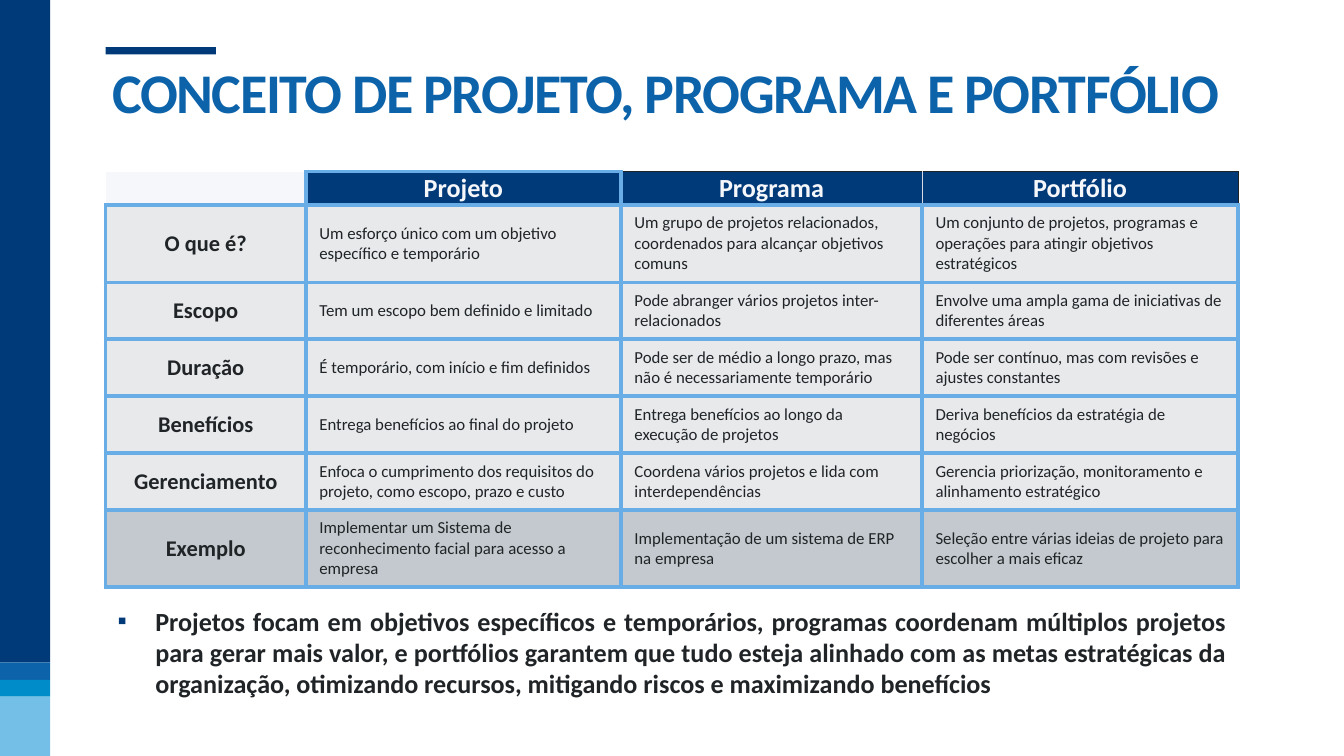
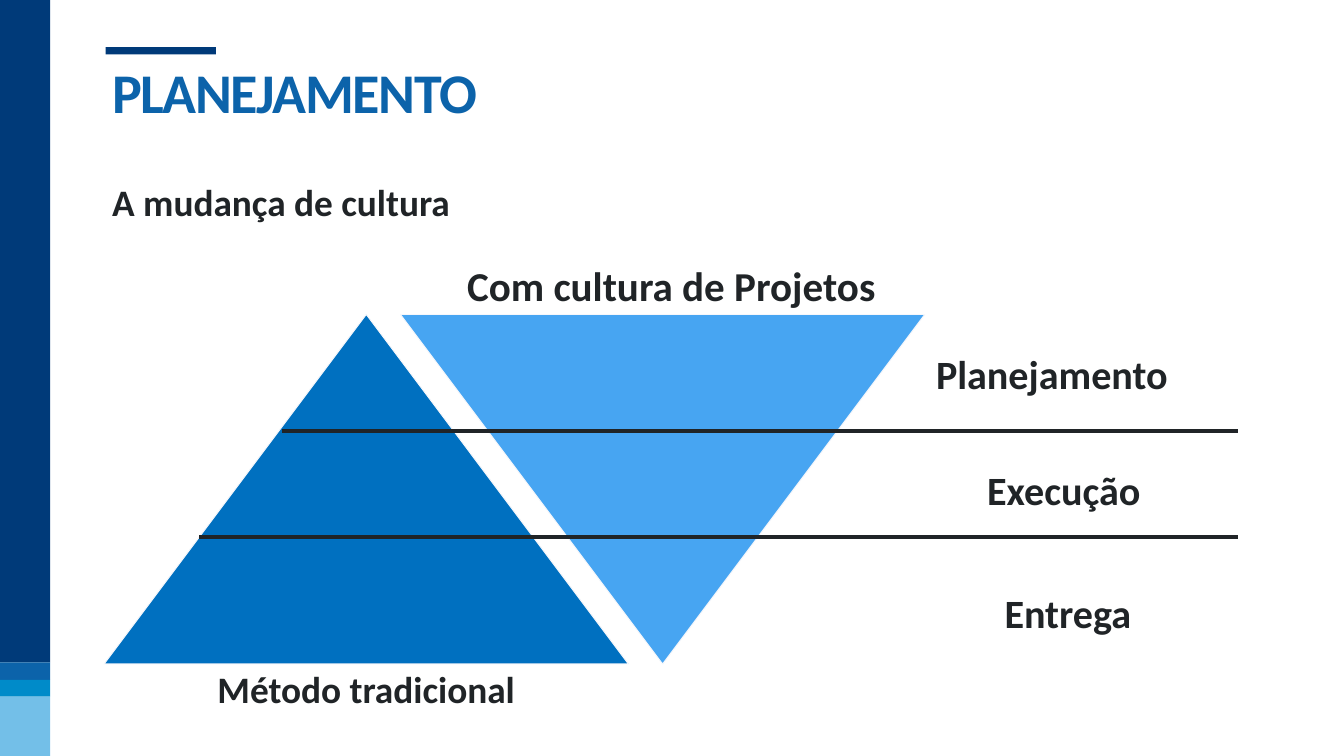
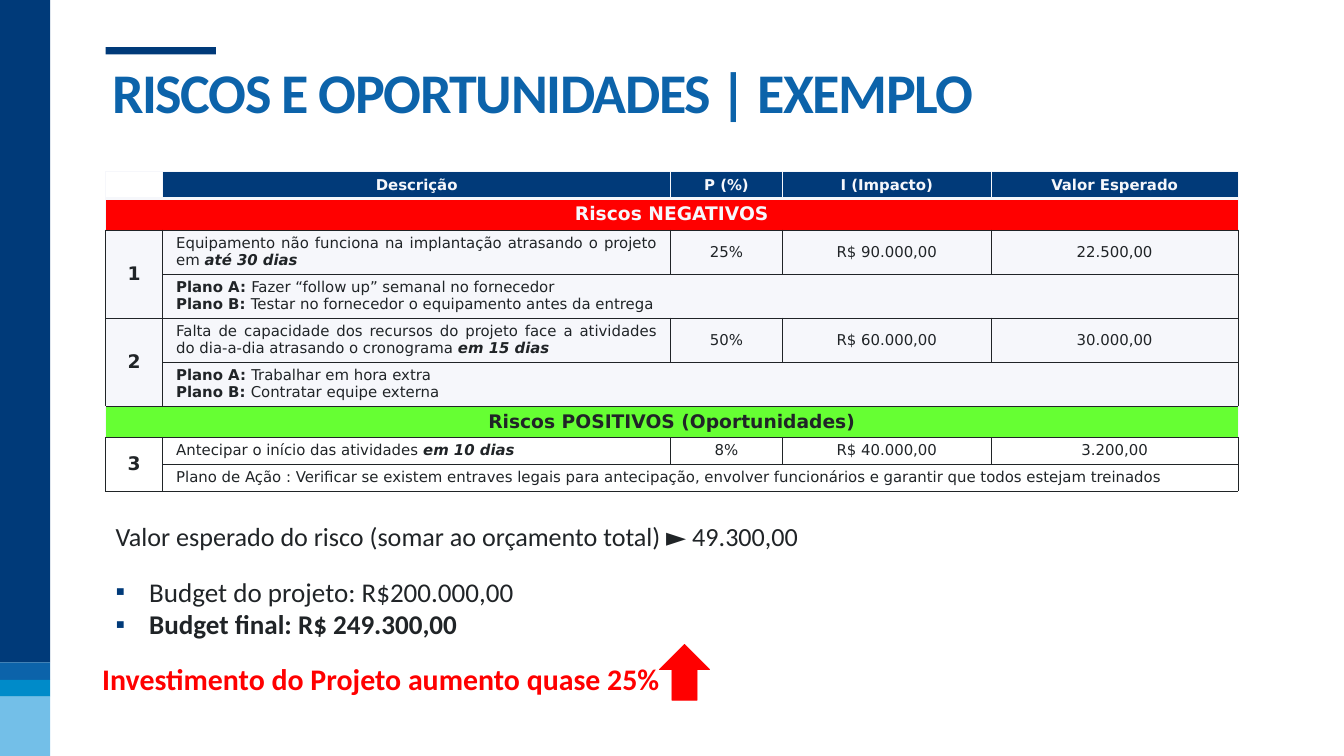
from dataclasses import dataclass
from typing import Any, NamedTuple, Optional

from lxml import etree
from pptx import Presentation
from pptx import util as u
from pptx.dml.color import RGBColor
from pptx.enum import shapes, text
from pptx.oxml import ns

Cm, Pt = u.Cm, u.Pt
CENTER, LEFT, JUSTIFY = text.PP_ALIGN.CENTER, text.PP_ALIGN.LEFT, text.PP_ALIGN.JUSTIFY
TOP, MIDDLE, BOTTOM = text.MSO_ANCHOR.TOP, text.MSO_ANCHOR.MIDDLE, text.MSO_ANCHOR.BOTTOM

COLORS = {
    "navy": "003A79", "header": "013A79", "blue": "0C63AA", "cyan": "008BC9", "sky": "73BFE8",
    "ink": "202427", "pale": "F6F7FB", "grid": "69ADE7", "hairline": "D9D9E3",
    "row": "E7E9EB", "last row": "C3C9CE", "culture": "47A5F2", "traditional": "0070C0",
    "red": "FF0000", "green": "66FF33",
}
FONT = "Calibri"
TABLE_FONT = "DejaVu Sans"
CONTENT_LEFT, CONTENT_TOP, CONTENT_WIDTH = 3.99, 6.48, 42.8
CONTENT_RIGHT = CONTENT_LEFT + CONTENT_WIDTH

Edges = dict[str, tuple[str, float]]


class Area(NamedTuple):
    """Left, top, width and height in centimetres."""
    left: float
    top: float
    width: float
    height: float

    def lengths(self) -> list[u.Length]:
        return [Cm(value) for value in self]


class Insets(NamedTuple):
    across: float = 0.25
    above: float = 0.13
    below: float = 0.13


class Span(NamedTuple):
    text: str
    bold: bool = False
    italic: bool = False


@dataclass
class Style:
    size: float
    color: str = "ink"
    font: str = FONT
    align: Any = LEFT
    anchor: Any = TOP
    insets: Insets = Insets()
    wrap: bool = True
    bullet: Optional[str] = None
    indent: float = 0
    line_spacing: float = 1
    space_after: float = 0


@dataclass
class Cell:
    paras: list[list[Span]]
    style: Style
    fill: Optional[str] = None


@dataclass
class Risk:
    number: str
    description: str
    deadline: str
    figures: list[str]
    plans: list[list[Span]]
    fill: Optional[str] = "pale"


def rgb(name: str) -> RGBColor:
    return RGBColor.from_string(COLORS[name])


def add_color(parent: Any, name: str) -> None:
    etree.SubElement(parent, ns.qn("a:srgbClr"), val=COLORS[name])


def set_bullet(para: Any, style: Style) -> None:
    properties = para._p.get_or_add_pPr()
    properties.set("marL", str(Cm(style.indent)))
    properties.set("indent", str(-Cm(style.indent)))
    if style.bullet is None:
        etree.SubElement(properties, ns.qn("a:buNone"))
        return
    add_color(etree.SubElement(properties, ns.qn("a:buClr")), style.bullet)
    etree.SubElement(properties, ns.qn("a:buChar"), char="▪")


def write_paras(frame: Any, paras: list[list[Span]], style: Style) -> None:
    for index, spans in enumerate(paras):
        para = frame.add_paragraph() if index else frame.paragraphs[0]
        set_bullet(para, style)
        para.alignment = style.align
        para.line_spacing = style.line_spacing
        para.space_before = Pt(0)
        para.space_after = Pt(style.space_after)
        for part in spans:
            span = para.add_run()
            span.text = part.text
            span.font.name = style.font
            span.font.size = Pt(style.size)
            span.font.bold = part.bold
            span.font.italic = part.italic
            span.font.color.rgb = rgb(style.color)


def set_margins(holder: Any, insets: Insets) -> None:
    holder.margin_left = holder.margin_right = Cm(insets.across)
    holder.margin_top, holder.margin_bottom = Cm(insets.above), Cm(insets.below)


def fill_box(box: Any, area: Area, paras: list[list[Span]], style: Style) -> None:
    """Move a placeholder or text box to its area and write its text."""
    box.left, box.top, box.width, box.height = area.lengths()
    frame = box.text_frame
    frame.auto_size = text.MSO_AUTO_SIZE.NONE
    frame.word_wrap = style.wrap
    frame.vertical_anchor = style.anchor
    set_margins(frame, style.insets)
    write_paras(frame, paras, style)


def add_label(page: Any, area: Area, label: Span, style: Style) -> None:
    fill_box(page.shapes.add_textbox(*area.lengths()), area, [[label]], style)


def add_block(page: Any, kind: Any, area: Area, fill: str,
              line: Optional[str] = None, width: float = 1) -> Any:
    block = page.shapes.add_shape(kind, *area.lengths())
    block.shadow.inherit = False
    block.fill.solid()
    block.fill.fore_color.rgb = rgb(fill)
    if line is None:
        block.line.fill.background()
    else:
        block.line.color.rgb = rgb(line)
        block.line.width = Pt(width)
    return block


def add_divider(page: Any, left: float, top: float) -> None:
    line = page.shapes.add_connector(
        shapes.MSO_CONNECTOR.STRAIGHT, Cm(left), Cm(top), Cm(CONTENT_RIGHT), Cm(top))
    line.line.color.rgb = rgb("ink")
    line.line.width = Pt(4.5)
    etree.SubElement(line.element.spPr, ns.qn("a:effectLst"))


def add_page(deck: Any, title: str) -> Any:
    page = deck.slides.add_slide(deck.slide_layouts[1])
    style = Style(60, "blue", anchor=BOTTOM, insets=Insets(0.25, 1, 0.13))
    fill_box(page.shapes.title, Area(CONTENT_LEFT, 2.06, CONTENT_WIDTH, 2.77),
             [[Span(title, bold=True)]], style)
    page.shapes.title.text_frame.paragraphs[0].runs[0]._r.get_or_add_rPr().set("spc", "-150")
    return page


def decorate_master(deck: Any, page: Any) -> None:
    """Draw the side bands and title accent, then hand them to the master."""
    edges = [0, 25.04, 25.7, 26.34, 28.58]
    blocks = [(Area(-0.03, top, 1.93, bottom - top), fill) for top, bottom, fill
              in zip(edges, edges[1:], ["navy", "blue", "cyan", "sky"])]
    blocks.append((Area(CONTENT_LEFT, 1.78, 4.17, 0.28), "navy"))
    tree = deck.slide_master.shapes.element
    for index, (area, fill) in enumerate(blocks):
        element = add_block(page, shapes.MSO_SHAPE.RECTANGLE, area, fill).element
        element.xpath(".//p:cNvPr")[0].set("id", str(100 + index))
        tree.insert(2 + index, element)


def add_grid(page: Any, columns: list[float], rows: list[float]) -> Any:
    area = Area(CONTENT_LEFT, CONTENT_TOP, CONTENT_WIDTH, sum(rows))
    grid = page.shapes.add_table(len(rows), len(columns), *area.lengths()).table
    grid.first_row = grid.horz_banding = False
    for column, width in zip(grid.columns, columns):
        column.width = Cm(width)
    for row, height in zip(grid.rows, rows):
        row.height = Cm(height)
    return grid


def all_edges(color: str, width: float) -> Edges:
    return {side: (color, width) for side in "LRTB"}


def set_edges(target: Any, edges: Edges) -> None:
    properties = target._tc.get_or_add_tcPr()
    for side in "LRTB":
        if side in edges:
            color, width = edges[side]
            line = etree.SubElement(properties, ns.qn(f"a:ln{side}"), w=str(Pt(width)))
            add_color(etree.SubElement(line, ns.qn("a:solidFill")), color)


def put_cell(grid: Any, row: int, column: int, cell: Cell, edges: Edges,
             rows: int = 1, columns: int = 1) -> None:
    """Fill one cell, merged over the given rows and columns."""
    target = grid.cell(row, column)
    for r in range(row, row + rows):
        for c in range(column, column + columns):
            set_edges(grid.cell(r, c), edges)
    if rows * columns > 1:
        target.merge(grid.cell(row + rows - 1, column + columns - 1))
    if cell.fill:
        target.fill.solid()
        target.fill.fore_color.rgb = rgb(cell.fill)
    else:
        target.fill.background()
    if cell.paras:
        set_margins(target, cell.style.insets)
        target.vertical_anchor = cell.style.anchor
        write_paras(target.text_frame, cell.paras, cell.style)


def build_concepts(page: Any) -> None:
    columns = ["Projeto", "Programa", "Portfólio"]
    concepts = [
        ("O que é?", "Um esforço único com um objetivo específico e temporário",
         "Um grupo de projetos relacionados, coordenados para alcançar objetivos comuns",
         "Um conjunto de projetos, programas e operações para atingir objetivos estratégicos"),
        ("Escopo", "Tem um escopo bem definido e limitado",
         "Pode abranger vários projetos inter-relacionados",
         "Envolve uma ampla gama de iniciativas de diferentes áreas"),
        ("Duração", "É temporário, com início e fim definidos",
         "Pode ser de médio a longo prazo, mas não é necessariamente temporário",
         "Pode ser contínuo, mas com revisões e ajustes constantes"),
        ("Benefícios", "Entrega benefícios ao final do projeto",
         "Entrega benefícios ao longo da execução de projetos",
         "Deriva benefícios da estratégia de negócios"),
        ("Gerenciamento",
         "Enfoca o cumprimento dos requisitos do projeto, como escopo, prazo e custo",
         "Coordena vários projetos e lida com interdependências",
         "Gerencia priorização, monitoramento e alinhamento estratégico"),
        ("Exemplo", "Implementar um Sistema de reconhecimento facial para acesso a empresa",
         "Implementação de um sistema de ERP na empresa",
         "Seleção entre várias ideias de projeto para escolher a mais eficaz"),
    ]
    grid = add_grid(page, [7.57, 11.91, 11.38, 11.94], [1.24, 2.51] + [1.85] * 4 + [2.51])
    blue, dark, hairline = ("grid", 4.5), ("ink", 1), ("hairline", 0.6)
    header_edges = [
        all_edges(*blue),
        {"L": blue, "R": hairline, "T": dark, "B": blue},
        {"L": hairline, "R": dark, "T": dark, "B": blue},
    ]
    header = Style(28, "pale", align=CENTER, anchor=MIDDLE, insets=Insets(0.05, 0.03, 0.03))
    insets = Insets(0.51, 0.3, 0.3)
    topic = Style(24, align=CENTER, anchor=MIDDLE, insets=insets)
    detail = Style(18, anchor=MIDDLE, insets=insets)

    put_cell(grid, 0, 0, Cell([], header, "pale"), {"R": blue, "B": blue})
    for column, (name, edges) in enumerate(zip(columns, header_edges), start=1):
        put_cell(grid, 0, column, Cell([[Span(name, True)]], header, "header"), edges)
    for row, concept in enumerate(concepts, start=1):
        fill = "last row" if row == len(concepts) else "row"
        for column, words in enumerate(concept):
            cell = Cell([[Span(words, column == 0)]], detail if column else topic, fill)
            put_cell(grid, row, column, cell, all_edges(*blue))

    summary = ("Projetos focam em objetivos específicos e temporários, programas coordenam "
               "múltiplos projetos para gerar mais valor, e portfólios garantem que tudo esteja "
               "alinhado com as metas estratégicas da organização, otimizando recursos, "
               "mitigando riscos e maximizando benefícios")
    fill_box(page.placeholders[1], Area(CONTENT_LEFT, 22.63, CONTENT_WIDTH, 4.04),
             [[Span(summary, True)]],
             Style(28, align=JUSTIFY, anchor=MIDDLE, insets=Insets(0.46, 0.23, 0.23),
                   bullet="header", indent=1.42))


def build_planning(page: Any) -> None:
    fill_box(page.placeholders[1], Area(CONTENT_LEFT, CONTENT_TOP, CONTENT_WIDTH, 20.19),
             [[Span("A mudança de cultura", True)]],
             Style(40, line_spacing=1.1, space_after=9))
    for left, fill, rotation in [(15.14, "culture", 180), (3.94, "traditional", 0)]:
        triangle = add_block(page, shapes.MSO_SHAPE.TRAPEZOID,
                             Area(left, 11.89, 19.81, 13.21), fill, "pale")
        triangle.adjustments[0] = 0.75
        triangle.rotation = rotation
    add_divider(page, 10.67, 16.28)
    add_divider(page, 7.54, 20.29)

    phase = Style(43, wrap=False)
    for name, area in [("Planejamento", Area(35.13, 13.08, 9.37, 2.08)),
                       ("Execução", Area(37.06, 17.48, 6.38, 2.08)),
                       ("Entrega", Area(37.72, 22.1, 5.36, 2.08))]:
        add_label(page, area, Span(name, True), phase)
    add_label(page, Area(4.14, 25.07, 19.41, 1.96), Span("Método tradicional", True),
              Style(40, align=CENTER))
    add_label(page, Area(12.67, 9.7, 25.43, 2.13), Span("Com cultura de Projetos", True),
              Style(44, align=CENTER))


def build_risks(page: Any) -> None:
    negative = [
        Risk("1", "Equipamento não funciona na implantação atrasando o projeto em ",
             "até 30 dias", ["25%", "R$ 90.000,00", "22.500,00"],
             [[Span("Plano A: ", True), Span("Fazer “follow up” semanal no fornecedor")],
              [Span("Plano B: ", True),
               Span("Testar no fornecedor o equipamento antes da entrega")]]),
        Risk("2", "Falta de capacidade dos recursos do projeto face a atividades do dia-a-dia "
             "atrasando o cronograma ", "em 15 dias", ["50%", "R$ 60.000,00", "30.000,00"],
             [[Span("Plano A: ", True), Span("Trabalhar em hora extra")],
              [Span("Plano B: ", True), Span("Contratar equipe externa")]]),
    ]
    positive = [
        Risk("3", "Antecipar o início das atividades ", "em 10 dias",
             ["8%", "R$ 40.000,00", "3.200,00"],
             [[Span("Plano de Ação : Verificar se existem entraves legais para antecipação, "
                    "envolver funcionários e garantir que todos estejam treinados")]], None),
    ]
    grid = add_grid(page, [2.16, 19.2, 4.22, 7.9, 9.32],
                    [0.76, 0.86] + [1.24] * 4 + [0.86, 0.81, 0.79])
    insets = Insets(0.51, 0.18, 0.18)
    header = Style(16, "pale", TABLE_FONT, CENTER, MIDDLE, insets)
    figure = Style(16, "ink", TABLE_FONT, CENTER, MIDDLE, insets)
    heading = Style(20, "ink", TABLE_FONT, CENTER, MIDDLE, insets)
    light_heading = Style(20, "pale", TABLE_FONT, CENTER, TOP, insets)
    detail = Style(16, "ink", TABLE_FONT, JUSTIFY, TOP, insets)
    dark, pale = ("ink", 1), ("pale", 1)
    black = all_edges(*dark)
    header_edges = all_edges(*pale) | {"B": ("pale", 3)}

    put_cell(grid, 0, 0, Cell([], header), header_edges)
    for column, name in enumerate(["Descrição", "P (%)", "I (Impacto)", "Valor Esperado"], 1):
        put_cell(grid, 0, column, Cell([[Span(name, True)]], header, "header"), header_edges)

    sections = [("Riscos NEGATIVOS", light_heading, "red", pale, negative),
                ("Riscos POSITIVOS (Oportunidades)", heading, "green", dark, positive)]
    row = 1
    for name, style, fill, top, risks in sections:
        put_cell(grid, row, 0, Cell([[Span(name, True)]], style, fill),
                 {"L": pale, "R": pale, "T": top, "B": dark}, columns=5)
        row += 1
        for risk in risks:
            put_cell(grid, row, 0, Cell([[Span(risk.number, True)]], heading, risk.fill),
                     black, rows=2)
            description = [Span(risk.description), Span(risk.deadline, True, True)]
            put_cell(grid, row, 1, Cell([description], detail, risk.fill), black)
            for column, value in enumerate(risk.figures, start=2):
                put_cell(grid, row, column, Cell([[Span(value)]], figure, risk.fill), black)
            put_cell(grid, row + 1, 1, Cell(risk.plans, detail, risk.fill), black, columns=4)
            row += 2

    note = Insets(0.38, 0.18, 0.18)
    add_label(page, Area(CONTENT_LEFT, 19.48, 42.42, 1.57),
              Span("Valor esperado do risco (somar ao orçamento total) ► 49.300,00"),
              Style(28, align=JUSTIFY, insets=note))
    fill_box(page.placeholders[1], Area(CONTENT_LEFT, 21.56, 23.39, 2.95),
             [[Span("Budget do projeto: R$200.000,00")],
              [Span("Budget final: R$ 249.300,00", True)]],
             Style(29, align=JUSTIFY, insets=note, bullet="navy", indent=1.27))
    arrow = add_block(page, shapes.MSO_SHAPE.DOWN_ARROW, Area(24.92, 24.36, 1.9, 2.11),
                      "red", "red", 0.75)
    arrow.rotation = 180
    add_label(page, Area(3.61, 24.84, 24.49, 1.63),
              Span("Investimento do Projeto aumento quase 25%", True), Style(32, "red"))


def main() -> None:
    deck = Presentation()
    deck.slide_width, deck.slide_height = Cm(50.8), Cm(28.58)
    pages = [("CONCEITO DE PROJETO, PROGRAMA E PORTFÓLIO", build_concepts),
             ("PLANEJAMENTO", build_planning),
             ("RISCOS E OPORTUNIDADES | EXEMPLO", build_risks)]
    for index, (title, build) in enumerate(pages):
        page = add_page(deck, title)
        if index == 0:
            decorate_master(deck, page)
        build(page)
    deck.save("out.pptx")


if __name__ == "__main__":
    main()
